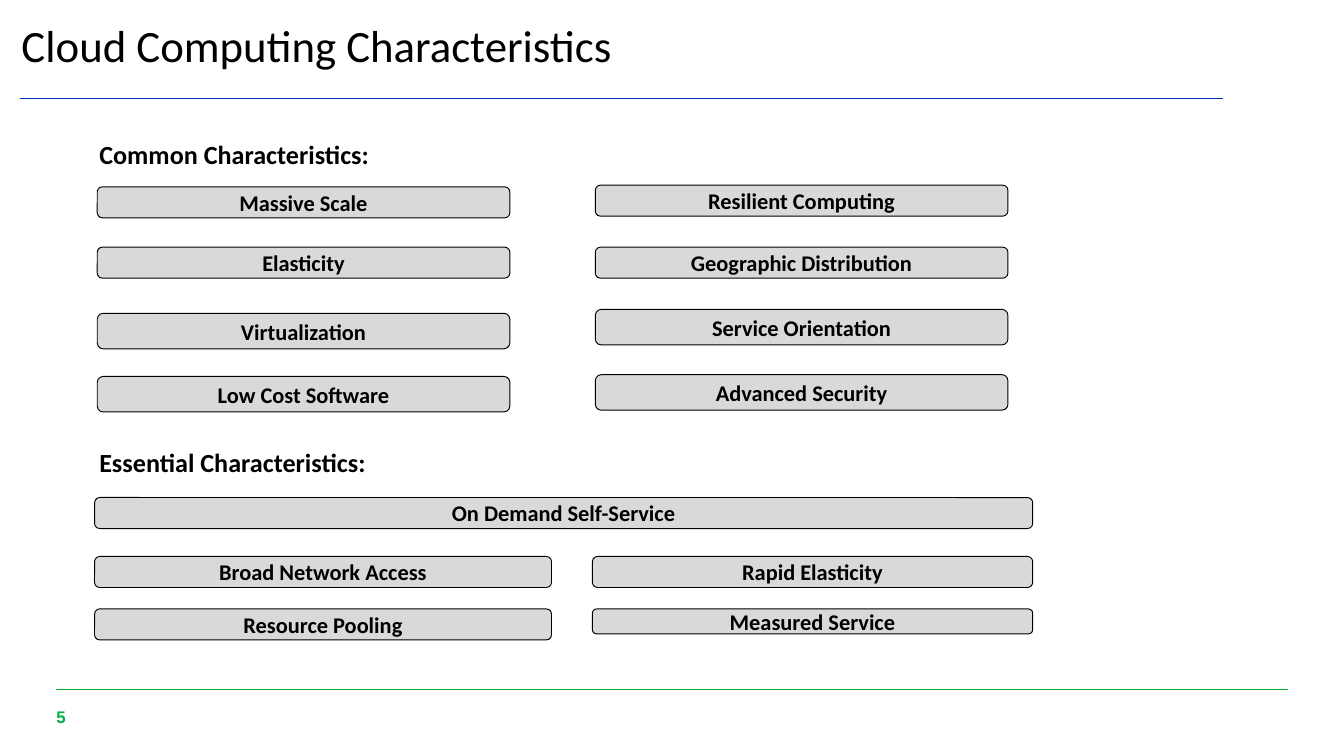
from dataclasses import dataclass

from lxml.etree import SubElement
from pptx import Presentation
from pptx.dml.color import RGBColor
from pptx.enum.shapes import MSO_CONNECTOR, MSO_SHAPE
from pptx.enum.text import MSO_ANCHOR as Anchor, MSO_AUTO_SIZE as AutoSize, PP_ALIGN as Align
from pptx.oxml.ns import qn
from pptx.util import Inches, Pt


@dataclass(frozen=True)
class Theme:
    ink: str = "000000"
    pill: str = "D9D9D9"
    blue: str = "0033B4"
    green: str = "00B140"
    body_font: str = "Calibri"
    number_font: str = "Arial"
    title_size: int = 24
    heading_size: int = 14
    pill_size: int = 12
    number_size: int = 9
    line_width: float = 0.5


theme = Theme()
presentation = Presentation()
presentation.slide_width = Inches(10)
presentation.slide_height = presentation.slide_width * 9 // 16
slide = presentation.slides.add_slide(presentation.slide_layouts[5])


def box(left, top, width, height):
    """Turn a place on a grid of 100 columns by 100 rows into slide lengths."""
    column, row = presentation.slide_width / 100, presentation.slide_height / 100
    return [round(n) for n in (left * column, top * row, width * column, height * row)]


def write(shape, text, size, bold=True, color=theme.ink, font=theme.body_font,
          align=Align.LEFT, anchor=Anchor.TOP, inset=True):
    frame = shape.text_frame
    frame.word_wrap = True
    frame.auto_size = AutoSize.NONE
    frame.vertical_anchor = anchor
    if not inset:
        frame.margin_left = frame.margin_top = frame.margin_right = frame.margin_bottom = 0
    paragraph = frame.paragraphs[0]
    paragraph.alignment = align
    run = paragraph.add_run()
    run.text = text
    run.font.name, run.font.size, run.font.bold = font, Pt(size), bold
    run.font.color.rgb = RGBColor.from_string(color)
    return paragraph


# Rules above the page number and under the title
for left, top, width, color in [(4.2, 91.2, 91.6, theme.green), (1.5, 12.97, 89.5, theme.blue)]:
    x, y, length, _ = box(left, top, width, 0)
    rule = slide.shapes.add_connector(MSO_CONNECTOR.STRAIGHT, x, y, x + length, y)
    rule.line.color.rgb = RGBColor.from_string(color)
    rule.line.width = Pt(theme.line_width)
    SubElement(rule._element.spPr, qn("a:effectLst"))

# Title
title = slide.shapes.title
title.left, title.top, title.width, title.height = box(1.6, 3.2, 91.7, 6.93)
paragraph = write(title, "Cloud Computing Characteristics", theme.title_size,
                  bold=False, inset=False)
paragraph.line_spacing = 0.9

# Page number
number = slide.shapes.add_textbox(*box(4.2, 93.33, 2.5, 3))
write(number, "5", theme.number_size, color=theme.green, font=theme.number_font,
      anchor=Anchor.MIDDLE, inset=False)

# Section headings
for text, top in [("Common Characteristics:", 17.4), ("Essential Characteristics:", 58.2)]:
    heading = slide.shapes.add_textbox(*box(6.4, top, 31.8, 6))
    write(heading, text, theme.heading_size)

# Pills by column: left, width, then label, top and height of each
pill_columns = [
    (7.24, 30.7, [("Massive Scale", 24.72, 4.1), ("Elasticity", 32.7, 4.1),
                  ("Virtualization", 41.45, 4.7), ("Low Cost Software", 49.8, 4.7)]),
    (44.3, 30.7, [("Resilient Computing", 24.5, 4.1), ("Geographic Distribution", 32.7, 4.1),
                  ("Service Orientation", 40.93, 4.7), ("Advanced Security", 49.57, 4.7)]),
    (7.04, 69.8, [("On Demand Self-Service", 65.82, 4.1)]),
    (7.04, 34, [("Broad Network Access", 73.62, 4.1), ("Resource Pooling", 80.55, 4.1)]),
    (44.08, 32.76, [("Rapid Elasticity", 73.62, 4.1), ("Measured Service", 80.55, 3.3)]),
]
for left, width, pills in pill_columns:
    for text, top, height in pills:
        pill = slide.shapes.add_shape(MSO_SHAPE.ROUNDED_RECTANGLE, *box(left, top, width, height))
        pill.shadow.inherit = False
        pill.fill.solid()
        pill.fill.fore_color.rgb = RGBColor.from_string(theme.pill)
        pill.line.color.rgb = RGBColor.from_string(theme.ink)
        pill.line.width = Pt(theme.line_width)
        write(pill, text, theme.pill_size, align=Align.CENTER, anchor=Anchor.MIDDLE)

presentation.save("out.pptx")
